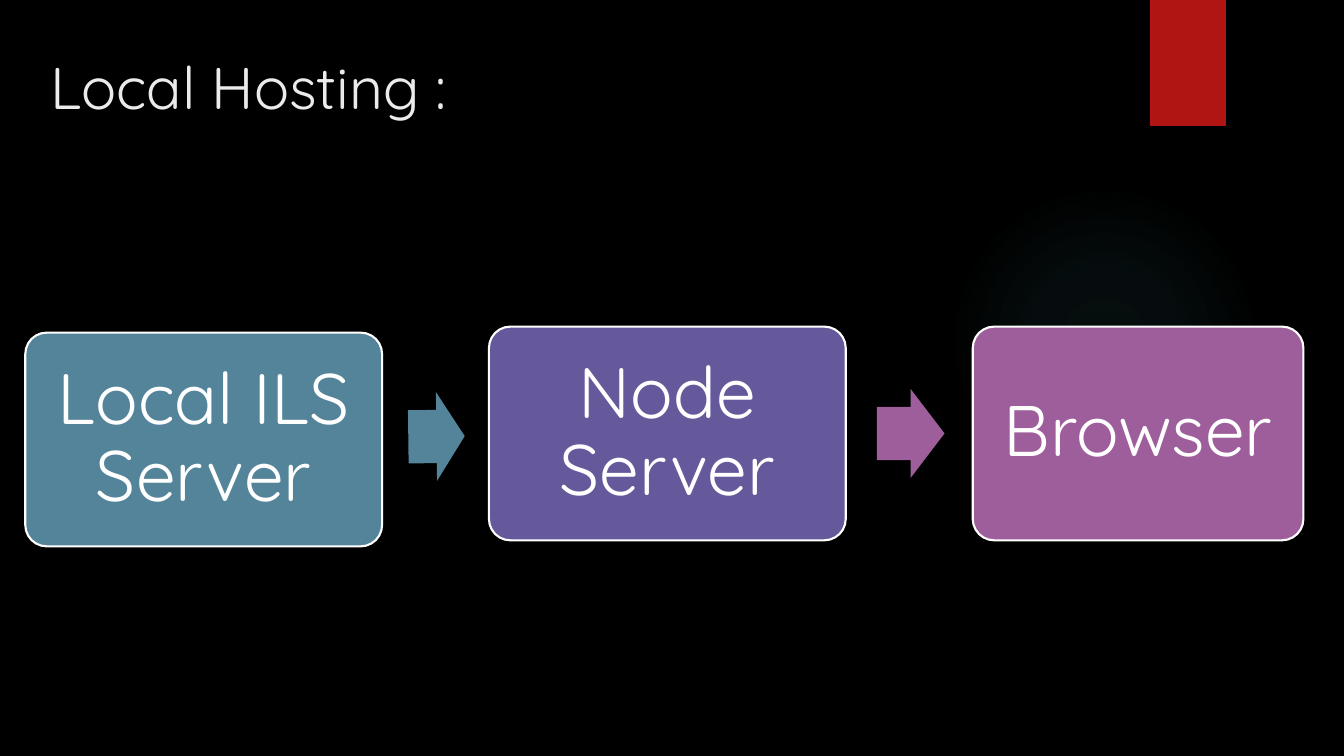
import dataclasses
import typing

import lxml.etree
import pptx
import pptx.dml.color
import pptx.enum.shapes
import pptx.enum.text
import pptx.oxml
import pptx.oxml.ns
import pptx.util

RGBColor = pptx.dml.color.RGBColor
Shapes = pptx.enum.shapes.MSO_SHAPE

BLACK = RGBColor(0x00, 0x00, 0x00)
WHITE = RGBColor(0xFF, 0xFF, 0xFF)
TITLE_GREY = RGBColor(0xEB, 0xEB, 0xEB)
RIBBON_RED = RGBColor(0xB0, 0x15, 0x13)
GLOW_TEAL = RGBColor(0x50, 0xB9, 0xC1)
TEAL = RGBColor(0x54, 0x84, 0x9A)
VIOLET = RGBColor(0x65, 0x59, 0x9C)
MAGENTA = RGBColor(0x9E, 0x5E, 0x9B)

FONT = "Quicksand"
SLIDE_WIDTH = pptx.util.Inches(13.333)
SLIDE_HEIGHT = pptx.util.Inches(7.5)
CARD_HEIGHT = 28.27
ARROW_HEIGHT = 11.73
CARD_INSET = pptx.util.Inches(0.21)


@dataclasses.dataclass(frozen=True)
class Area:
    """Position and size in percent of the slide's width and height."""
    left: float
    top: float
    width: float
    height: float

    def lengths(self) -> tuple[int, int, int, int]:
        return (
            round(SLIDE_WIDTH * self.left / 100),
            round(SLIDE_HEIGHT * self.top / 100),
            round(SLIDE_WIDTH * self.width / 100),
            round(SLIDE_HEIGHT * self.height / 100),
        )


@dataclasses.dataclass(frozen=True)
class Card:
    text: str
    area: Area
    color: RGBColor


@dataclasses.dataclass(frozen=True)
class Arrow:
    area: Area
    color: RGBColor
    rotation: float = 0


CARDS = (
    Card("Local ILS Server", Area(1.88, 44, 26.55, CARD_HEIGHT), TEAL),
    Card("Node Server", Area(36.38, 43.2, 26.55, CARD_HEIGHT), VIOLET),
    Card("Browser", Area(72.38, 43.2, 24.6, CARD_HEIGHT), MAGENTA),
)
ARROWS = (
    Arrow(Area(30.38, 51.87, 4.2, ARROW_HEIGHT), TEAL, 359.3),
    Arrow(Area(65.25, 51.47, 5.03, ARROW_HEIGHT), MAGENTA),
)
GLOW_STOPS = ((0, 7), (36, 6), (69, 0))  # position and opacity in percent


def apply_format(target: typing.Any, values: dict[str, typing.Any]) -> None:
    for name, value in values.items():
        setattr(target, name, value)


def add_filled_shape(slide, kind, area: Area, color: RGBColor):
    shape = slide.shapes.add_shape(kind, *area.lengths())
    shape.shadow.inherit = False
    shape.fill.solid()
    shape.fill.fore_color.rgb = color
    shape.line.fill.background()
    return shape


def write_text(shape, text: str, size: float, color: RGBColor,
               frame_format: dict[str, typing.Any],
               paragraph_format: dict[str, typing.Any]) -> None:
    apply_format(shape.text_frame, {"word_wrap": True, **frame_format})
    paragraph = shape.text_frame.paragraphs[0]
    apply_format(paragraph, paragraph_format)
    run = paragraph.add_run()
    run.text = text
    apply_format(run.font, {"name": FONT, "size": pptx.util.Pt(size), "bold": False})
    run.font.color.rgb = color


def add_glow(slide, area: Area) -> None:
    shape = add_filled_shape(slide, Shapes.OVAL, area, GLOW_TEAL)
    stops = "".join(
        f'<a:gs pos="{position * 1000}"><a:srgbClr val="{GLOW_TEAL}">'
        f'<a:alpha val="{opacity * 1000}"/></a:srgbClr></a:gs>'
        for position, opacity in GLOW_STOPS
    )
    gradient = pptx.oxml.parse_xml(
        f'<a:gradFill {pptx.oxml.ns.nsdecls("a")}><a:gsLst>{stops}</a:gsLst>'
        '<a:path path="circle">'
        '<a:fillToRect l="50000" t="50000" r="50000" b="50000"/>'
        '</a:path></a:gradFill>'
    )
    properties = shape.element.spPr
    properties.replace(properties.find(pptx.oxml.ns.qn("a:solidFill")), gradient)


def add_title(slide, text: str, area: Area) -> None:
    title = slide.shapes.title
    apply_format(title, dict(zip(("left", "top", "width", "height"), area.lengths())))
    write_text(
        title, text, 42, TITLE_GREY,
        {"vertical_anchor": pptx.enum.text.MSO_ANCHOR.TOP,
         "auto_size": pptx.enum.text.MSO_AUTO_SIZE.NONE},
        {"alignment": pptx.enum.text.PP_ALIGN.LEFT, "line_spacing": 1.0},
    )


def add_card(slide, card: Card) -> None:
    shape = add_filled_shape(slide, Shapes.ROUNDED_RECTANGLE, card.area, card.color)
    shape.adjustments[0] = 0.1
    shape.line.color.rgb = WHITE
    shape.line.width = pptx.util.Pt(1.5)
    insets = {f"margin_{side}": CARD_INSET for side in ("left", "top", "right", "bottom")}
    write_text(
        shape, card.text, 51, WHITE,
        {"vertical_anchor": pptx.enum.text.MSO_ANCHOR.MIDDLE, **insets},
        {"alignment": pptx.enum.text.PP_ALIGN.CENTER, "line_spacing": 0.9},
    )


def add_arrow(slide, arrow: Arrow) -> None:
    shape = add_filled_shape(slide, Shapes.RIGHT_ARROW, arrow.area, arrow.color)
    shape.adjustments[0] = 0.6
    shape.adjustments[1] = 0.5
    shape.rotation = arrow.rotation


def main() -> None:
    presentation = pptx.Presentation()
    apply_format(presentation, {"slide_width": SLIDE_WIDTH, "slide_height": SLIDE_HEIGHT})
    slide = presentation.slides.add_slide(presentation.slide_layouts.get_by_name("Title Only"))

    # Backdrop
    slide.background.fill.solid()
    slide.background.fill.fore_color.rgb = BLACK
    add_glow(slide, Area(70.58, 24.4, 23.1, 41.07))
    add_filled_shape(slide, Shapes.RECTANGLE, Area(85.58, 0, 5.63, 16.67), RIBBON_RED)

    # Title
    add_title(slide, "Local Hosting :", Area(3, 6, 77.18, 20.4))

    # Hosting flow
    for card in CARDS:
        add_card(slide, card)
    for arrow in ARROWS:
        add_arrow(slide, arrow)

    presentation.save("out.pptx")


if __name__ == "__main__":
    main()
